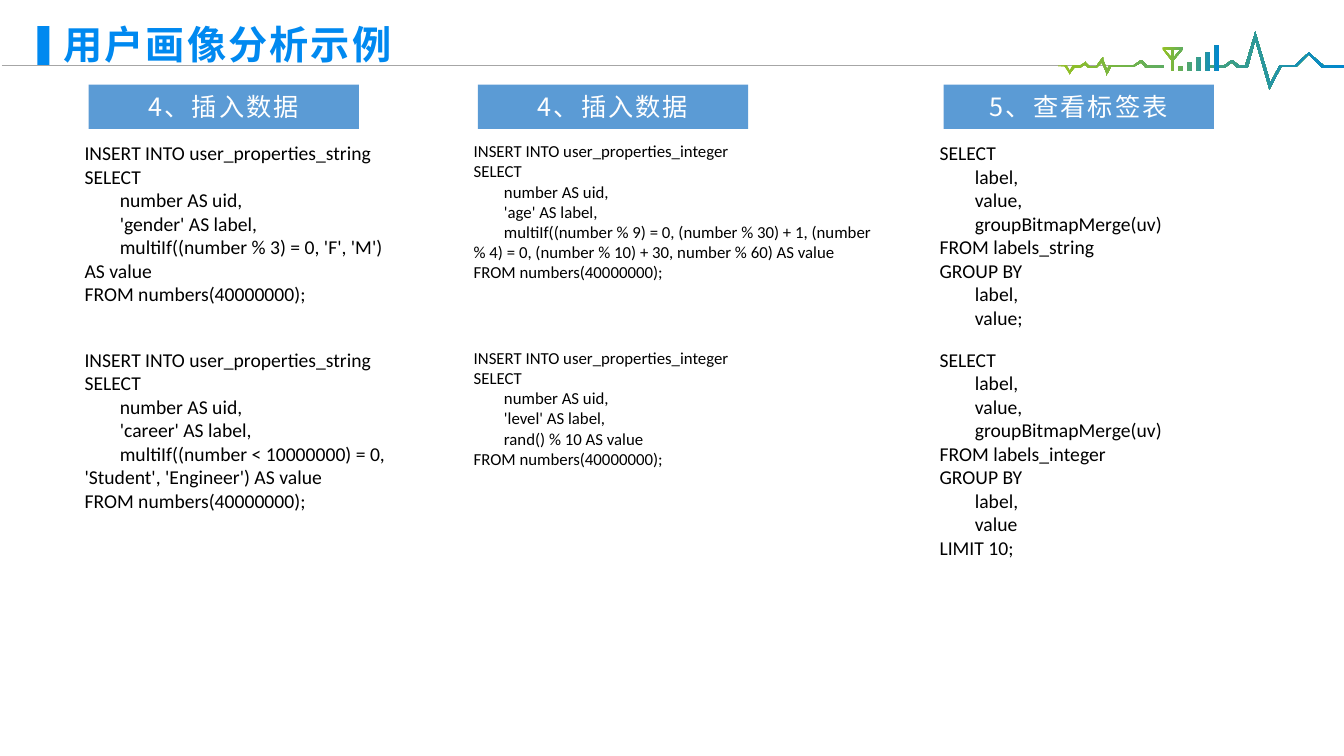
from lxml import etree
from pptx import Presentation
from pptx import util as u
from pptx.dml.color import RGBColor
from pptx.enum import shapes, text
from pptx.oxml import ns

PX = 9144  # 100 px to the inch
COLORS = {
    "title": "0089F0", "heading": "5B9BD5", "white": "FFFFFF", "code": "000000",
    "rule": "A6A6A6", "green": "94C123", "blue": "0087CF",
}
CJK_FONT = "Noto Sans CJK SC"
CODE_FONT = "Calibri"

# Outlines of the header decoration, in px
LONG_PULSE = [
    (1313, 65), (1299, 53), (1298, 52), (1297, 53), (1284, 65), (1269, 65),
    (1260, 82), (1246, 35), (1245, 31), (1244, 35), (1235, 65), (1229, 65),
    (1223, 60), (1221, 60), (1214, 65), (1201, 65), (1201, 67), (1215, 67),
    (1222, 62), (1227, 67), (1237, 67), (1238, 66), (1245, 40), (1258, 85),
    (1259, 89), (1261, 85), (1271, 66), (1286, 66), (1298, 54), (1311, 67),
    (1333, 67), (1333, 65),
]
SHORT_PULSE = [
    (1133, 60), (1131, 60), (1124, 65), (1100, 65), (1098, 69), (1094, 59),
    (1094, 57), (1092, 59), (1087, 66), (1081, 66), (1077, 62), (1077, 61),
    (1076, 62), (1071, 65), (1064, 65), (1061, 70), (1058, 65), (1049, 65),
    (1049, 66), (1056, 66), (1060, 72), (1061, 74), (1062, 72), (1066, 67),
    (1072, 67), (1076, 64), (1079, 67), (1088, 67), (1093, 62), (1097, 72),
    (1097, 75), (1099, 72), (1102, 66), (1125, 66), (1132, 62), (1136, 67),
    (1154, 67), (1154, 65), (1138, 65),
]
ANTENNA = [
    (1153, 47), (1173, 47), (1173, 49), (1164, 60), (1164, 70), (1162, 70),
    (1162, 60), (1153, 49),
]
ANTENNA_HOLES = [
    [(1164, 49), (1164, 57), (1171, 49)],
    [(1155, 49), (1162, 57), (1162, 49)],
]
SIGNAL_TOPS = [66, 62, 57, 52, 45]

# Columns: left edge, width of the code, text size, heading, (top, code) blocks
COLUMNS = [
    (74, 336, 14, "4、插入数据", [
        (135, """INSERT INTO user_properties_string
SELECT
    number AS uid,
    'gender' AS label,
    multiIf((number % 3) = 0, 'F', 'M') AS value
FROM numbers(40000000);"""),
        (340, """INSERT INTO user_properties_string
SELECT
    number AS uid,
    'career' AS label,
    multiIf((number < 10000000) = 0, 'Student', 'Engineer') AS value
FROM numbers(40000000);""")]),
    (460, 422, 12, "4、插入数据", [
        (135, """INSERT INTO user_properties_integer
SELECT
    number AS uid,
    'age' AS label,
    multiIf((number % 9) = 0, (number % 30) + 1, (number % 4) = 0, (number % 10) + 30, number % 60) AS value
FROM numbers(40000000);"""),
        (340, """INSERT INTO user_properties_integer
SELECT
    number AS uid,
    'level' AS label,
    rand() % 10 AS value
FROM numbers(40000000);""")]),
    (922, 302, 14, "5、查看标签表", [
        (135, """SELECT
    label,
    value,
    groupBitmapMerge(uv)
FROM labels_string
GROUP BY
    label,
    value;"""),
        (340, """SELECT
    label,
    value,
    groupBitmapMerge(uv)
FROM labels_integer
GROUP BY
    label,
    value
LIMIT 10;""")]),
]


def px(*lengths):
    return [u.Emu(length * PX) for length in lengths]


def color(name):
    return RGBColor.from_string(COLORS[name])


def style_run(run, size, font, color_name, bold=False):
    run.font.size = u.Pt(size)
    run.font.name = font
    run.font.bold = bold
    run.font.color.rgb = color(color_name)
    if font == CJK_FONT:
        properties = run.font._element
        properties.set("spc", "150")
        etree.SubElement(properties, ns.qn("a:ea"), typeface=font)


def add_title(slide, wording):
    title = slide.shapes.title
    title.left, title.top, title.width, title.height = px(56, 21, 862, 50)
    frame = title.text_frame
    frame.text = wording
    frame.auto_size = text.MSO_AUTO_SIZE.NONE
    frame.vertical_anchor = text.MSO_ANCHOR.MIDDLE
    frame.margin_left, frame.margin_top, frame.margin_right, frame.margin_bottom = px(7, 4, 7, 4)
    line = frame.paragraphs[0]
    line.alignment = text.PP_ALIGN.LEFT
    line.line_spacing = 0.9
    style_run(line.runs[0], 28, CJK_FONT, "title", bold=True)


def add_bar(slide, left, top, width, height, fill):
    bar = slide.shapes.add_shape(shapes.MSO_SHAPE.RECTANGLE, *px(left, top, width, height))
    bar.shadow.inherit = False
    bar.fill.solid()
    bar.fill.fore_color.rgb = color(fill)
    bar.line.fill.background()
    return bar


def add_heading(slide, left, wording):
    frame = add_bar(slide, left, 84, 268, 44, "heading").text_frame
    frame.text = wording
    frame.vertical_anchor = text.MSO_ANCHOR.MIDDLE
    frame.paragraphs[0].alignment = text.PP_ALIGN.CENTER
    style_run(frame.paragraphs[0].runs[0], 18, CJK_FONT, "white")


def add_code(slide, left, top, width, size, code):
    lines = code.splitlines()
    height = round(len(lines) * size * 1.7) + 10
    frame = slide.shapes.add_textbox(*px(left, top, width, height)).text_frame
    frame.word_wrap = True
    frame.auto_size = text.MSO_AUTO_SIZE.SHAPE_TO_FIT_TEXT
    frame.text = "\n".join(line.strip() for line in lines)
    for line, paragraph in zip(lines, frame.paragraphs):
        style_run(paragraph.runs[0], size, CODE_FONT, "code")
        if line.startswith(" "):
            # First-line indent only, so wrapped code returns to the margin
            indent = size * 5 // 2 * PX
            paragraph._p.get_or_add_pPr().set("indent", str(indent))


def add_gradient_outline(slide, contours):
    first, *others = contours
    builder = slide.shapes.build_freeform(*first[0], scale=PX)
    builder.add_line_segments(first[1:])
    for contour in others:
        builder.move_to(*contour[0])
        builder.add_line_segments(contour[1:])
    outline = builder.convert_to_shape()
    outline.shadow.inherit = False
    outline.line.fill.background()
    outline.fill.gradient()
    outline.fill.gradient_angle = 0
    for stop, name in zip(outline.fill.gradient_stops, ("green", "blue")):
        stop.color.rgb = color(name)


def add_rule(slide):
    rule = slide.shapes.add_connector(shapes.MSO_CONNECTOR.STRAIGHT, *px(2, 65, 1115, 65))
    rule.line.color.rgb = color("rule")
    rule.line.width = u.Pt(1)
    etree.SubElement(rule._element.spPr, ns.qn("a:effectLst"))


def signal_bar(index, top):
    left = 1169 + 9 * index
    return [(left, top), (left + 4, top), (left + 4, 70), (left, 70)]


def main():
    deck = Presentation()
    deck.slide_width, deck.slide_height = px(1333, 750)
    slide = deck.slides.add_slide(deck.slide_layouts[5])

    # Header
    add_bar(slide, 37, 26, 12, 39, "title")
    add_rule(slide)
    add_gradient_outline(slide, [LONG_PULSE, SHORT_PULSE])
    signal = [signal_bar(i, top) for i, top in enumerate(SIGNAL_TOPS)]
    add_gradient_outline(slide, [ANTENNA, *ANTENNA_HOLES, *signal])
    add_title(slide, "用户画像分析示例")

    # Columns of queries
    for left, width, size, heading, blocks in COLUMNS:
        add_heading(slide, left + 14, heading)
        for top, code in blocks:
            add_code(slide, left, top, width, size, code)

    deck.save("out.pptx")


if __name__ == "__main__":
    main()
